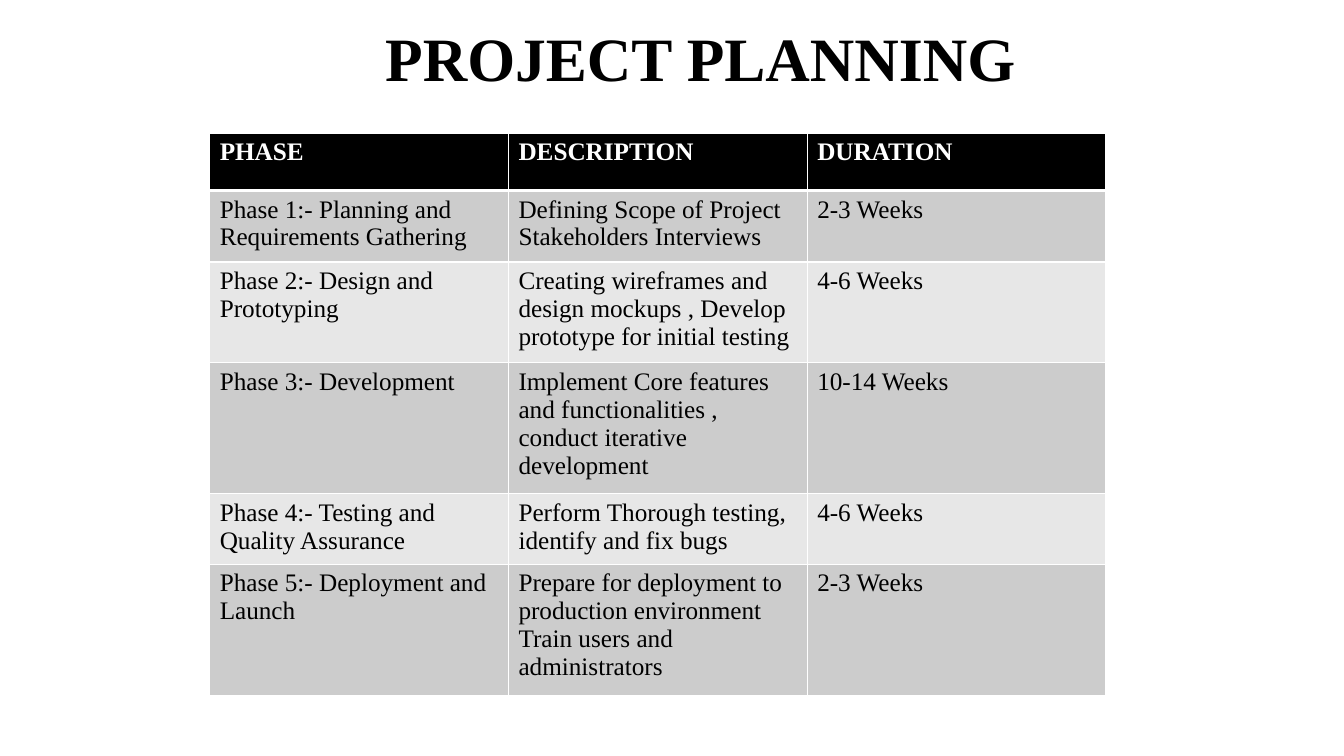
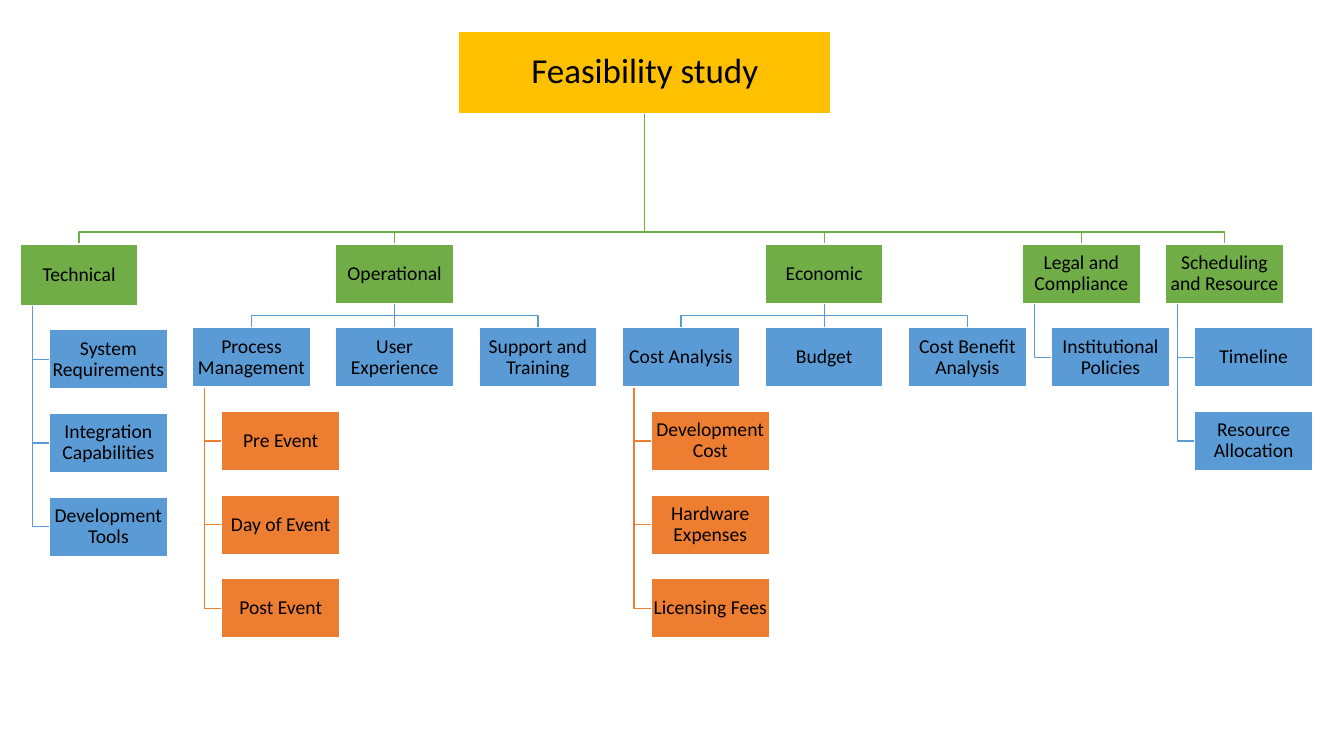
"""Build a project planning table and a feasibility study chart."""
from typing import NamedTuple

from lxml import etree
from pptx import Presentation
from pptx.dml.color import RGBColor
from pptx.enum.shapes import MSO_CONNECTOR, MSO_SHAPE
from pptx.enum.text import MSO_ANCHOR, MSO_AUTO_SIZE, PP_ALIGN
from pptx.oxml.ns import qn
from pptx.util import Inches, Pt

STRAIGHT = MSO_CONNECTOR.STRAIGHT
RECTANGLE = MSO_SHAPE.RECTANGLE
MIDDLE = MSO_ANCHOR.MIDDLE
CENTER = PP_ALIGN.CENTER
LEFT = PP_ALIGN.LEFT
NO_AUTOFIT = MSO_AUTO_SIZE.NONE

TITLE_ONLY = 5
SERIF, SANS = "Times New Roman", "Calibri"
BLACK, WHITE = "000000", "FFFFFF"
BAND_FILLS = ("CCCCCC", "E7E7E7")
GOLD = "FFC000"
LEVEL_FILLS = ("70AD47", "5B9BD5", "ED7D31")

BOX_WIDTH, BOX_HEIGHT = 1.17, 0.59
COLUMN_PITCH = 1.42
LEVEL_GAP = 0.24
HANG_INDENT, SPINE_INDENT = 0.29, 0.12
BUS_RISE = 0.12
BRANCH_TOP = 2.42

ROW_HEIGHTS = (0.57, 0.71, 1, 1.3, 0.7, 1.3)
PLAN = (
    ("PHASE", "DESCRIPTION", "DURATION"),
    ("Phase 1:- Planning and Requirements Gathering",
     "Defining Scope of Project\nStakeholders Interviews", "2-3 Weeks"),
    ("Phase 2:- Design and Prototyping",
     "Creating wireframes and design mockups , Develop prototype for initial testing",
     "4-6 Weeks"),
    ("Phase 3:- Development",
     "Implement Core features and functionalities , conduct iterative development",
     "10-14 Weeks"),
    ("Phase 4:- Testing and Quality Assurance",
     "Perform Thorough testing, identify and fix bugs", "4-6 Weeks"),
    ("Phase 5:- Deployment and Launch",
     "Prepare for deployment to production environment\nTrain users and administrators",
     "2-3 Weeks"),
)


class Node(NamedTuple):
    """A chart entry whose children hang below it or spread in a row."""
    text: str
    children: tuple = ()
    hangs: bool = True


class Box(NamedTuple):
    """A rectangle in inches."""
    left: float
    top: float
    width: float = BOX_WIDTH
    height: float = BOX_HEIGHT

    @property
    def center(self):
        """Return the horizontal centre."""
        return self.left + self.width / 2

    @property
    def bottom(self):
        """Return the lower edge."""
        return self.top + self.height


BRANCHES = (
    (Box(0.2, BRANCH_TOP, height=0.61), Node("Technical", (
        Node("System Requirements"),
        Node("Integration Capabilities"),
        Node("Development Tools")))),
    (Box(3.33, BRANCH_TOP), Node("Operational", (
        Node("Process Management", (
            Node("Pre Event"), Node("Day of Event"), Node("Post Event"))),
        Node("User Experience"),
        Node("Support and Training")), hangs=False)),
    (Box(7.59, BRANCH_TOP), Node("Economic", (
        Node("Cost Analysis", (
            Node("Development Cost"), Node("Hardware Expenses"), Node("Licensing Fees"))),
        Node("Budget"),
        Node("Cost Benefit Analysis")), hangs=False)),
    (Box(10.14, BRANCH_TOP), Node("Legal and Compliance", (
        Node("Institutional Policies"),))),
    (Box(11.56, BRANCH_TOP), Node("Scheduling and Resource", (
        Node("Timeline"), Node("Resource Allocation")))),
)


def rgb(color):
    """Turn a hex string into a colour."""
    return RGBColor.from_string(color)


def format_text(frame, font, size, color=BLACK, bold=False, align=LEFT, spacing=None):
    """Format every paragraph and run of a text frame."""
    for para in frame.paragraphs:
        para.alignment = align
        para.line_spacing = spacing
        for span in para.runs:
            span.font.name = font
            span.font.size = Pt(size)
            span.font.bold = bold
            span.font.color.rgb = rgb(color)


def set_title(page, box, text, font, size, bold=False):
    """Place and format the title placeholder."""
    title = page.shapes.title
    title.left, title.top, title.width, title.height = map(Inches, box)
    frame = title.text_frame
    frame.text = text
    frame.auto_size = NO_AUTOFIT
    frame.vertical_anchor = MIDDLE
    format_text(frame, font, size, bold=bold, align=CENTER, spacing=0.9)
    return title


def set_insets(frame, inset):
    """Set all four margins of a text frame."""
    frame.margin_left = frame.margin_right = Inches(inset)
    frame.margin_top = frame.margin_bottom = Inches(inset)


def set_line(shape, color):
    """Give a shape a thin line."""
    shape.line.color.rgb = rgb(color)
    shape.line.width = Pt(1)


def paint(shape, fill):
    """Give a shape a solid fill and a white outline."""
    shape.fill.solid()
    shape.fill.fore_color.rgb = rgb(fill)
    set_line(shape, WHITE)


def set_borders(cell, top, bottom):
    """Draw white cell borders with the given top and bottom widths."""
    properties = cell._tc.get_or_add_tcPr()
    for side, width in (("L", 1), ("R", 1), ("T", top), ("B", bottom)):
        line = etree.SubElement(properties, qn(f"a:ln{side}"), w=str(Pt(width)))
        fill = etree.SubElement(line, qn("a:solidFill"))
        etree.SubElement(fill, qn("a:srgbClr"), val=WHITE)


def add_plan_table(page, box):
    """Add the table of phases, with a black header and grey bands."""
    frame = page.shapes.add_table(len(PLAN), len(PLAN[0]), *map(Inches, box))
    table = frame.table
    for column in table.columns:
        column.width = Inches(box.width / len(PLAN[0]))
    for index, (height, texts) in enumerate(zip(ROW_HEIGHTS, PLAN)):
        header = index == 0
        table.rows[index].height = Inches(height)
        for cell, text in zip(table.rows[index].cells, texts):
            cell.text = text
            format_text(cell.text_frame, SERIF, 18, WHITE if header else BLACK, header)
            set_borders(cell, 3 if index == 1 else 1, 3 if header else 1)
            cell.fill.solid()
            cell.fill.fore_color.rgb = rgb(BLACK if header else BAND_FILLS[(index - 1) % 2])


def add_link(page, points, color):
    """Add a straight connector, or an open elbow through several points."""
    start, *rest = [tuple(map(Inches, point)) for point in points]
    if len(rest) == 1:
        link = page.shapes.add_connector(STRAIGHT, *start, *rest[0])
        etree.SubElement(link._element.spPr, qn("a:effectLst"))
    else:
        builder = page.shapes.build_freeform(*start)
        builder.add_line_segments(rest, close=False)
        link = builder.convert_to_shape()
        link.shadow.inherit = False
        link.fill.background()
    set_line(link, color)


def link_row(page, parent, boxes, color):
    """Join a parent to each box of a row below it."""
    for box in boxes:
        start, end = (parent.center, parent.bottom), (box.center, box.top)
        bus = box.top - BUS_RISE
        straight = abs(parent.center - box.center) < 0.01
        bends = () if straight else ((parent.center, bus), (box.center, bus))
        add_link(page, (start, *bends, end), color)


def link_hanging(page, parent, boxes, color):
    """Join a parent to each box of a stack hanging below it."""
    spine = parent.left + SPINE_INDENT
    for box in boxes:
        middle = box.top + box.height / 2
        add_link(page, ((spine, parent.bottom), (spine, middle), (box.left, middle)), color)


def add_box(page, box, text, fill):
    """Add one labelled chart box."""
    shape = page.shapes.add_shape(RECTANGLE, *map(Inches, box))
    shape.shadow.inherit = False
    paint(shape, fill)
    frame = shape.text_frame
    frame.text = text
    frame.word_wrap = True
    frame.vertical_anchor = MIDDLE
    set_insets(frame, 0.01)
    format_text(frame, SANS, 14, align=CENTER, spacing=0.9)


def child_boxes(parent, node):
    """Return the boxes of the children of a node."""
    top = parent.bottom + LEVEL_GAP
    if node.hangs:
        pitch = BOX_HEIGHT + LEVEL_GAP
        return [Box(parent.left + HANG_INDENT, top + index * pitch)
                for index in range(len(node.children))]
    first = parent.left - COLUMN_PITCH * (len(node.children) - 1) / 2
    return [Box(first + index * COLUMN_PITCH, top) for index in range(len(node.children))]


def add_branch(page, box, node, level=0):
    """Add a node, its links and everything below it."""
    if node.children:
        boxes = child_boxes(box, node)
        link = link_hanging if node.hangs else link_row
        link(page, box, boxes, LEVEL_FILLS[level + 1])
        for child_box, child in zip(boxes, node.children):
            add_branch(page, child_box, child, level + 1)
    add_box(page, box, node.text, LEVEL_FILLS[level])


def build_planning(page):
    """Build the project planning slide."""
    title = set_title(page, Box(1.2, 0.23, 11.5, 0.84), "PROJECT PLANNING", SERIF, 44, True)
    title.text_frame.margin_bottom = Inches(0.13)
    add_plan_table(page, Box(2.08, 1.32, 8.89, sum(ROW_HEIGHTS)))


def build_feasibility(page):
    """Build the feasibility study slide."""
    root = Box(4.55, 0.31, 3.69, 0.82)
    title = set_title(page, root, "Feasibility study", SANS, 25)
    paint(title, GOLD)
    set_insets(title.text_frame, 0.02)
    link_row(page, root, [box for box, _ in BRANCHES], LEVEL_FILLS[0])
    for box, node in BRANCHES:
        add_branch(page, box, node)


def main():
    """Build and save the deck."""
    deck = Presentation()
    deck.slide_width, deck.slide_height = Inches(13.33), Inches(7.5)
    for build in (build_planning, build_feasibility):
        build(deck.slides.add_slide(deck.slide_layouts[TITLE_ONLY]))
    deck.save("out.pptx")


if __name__ == "__main__":
    main()
